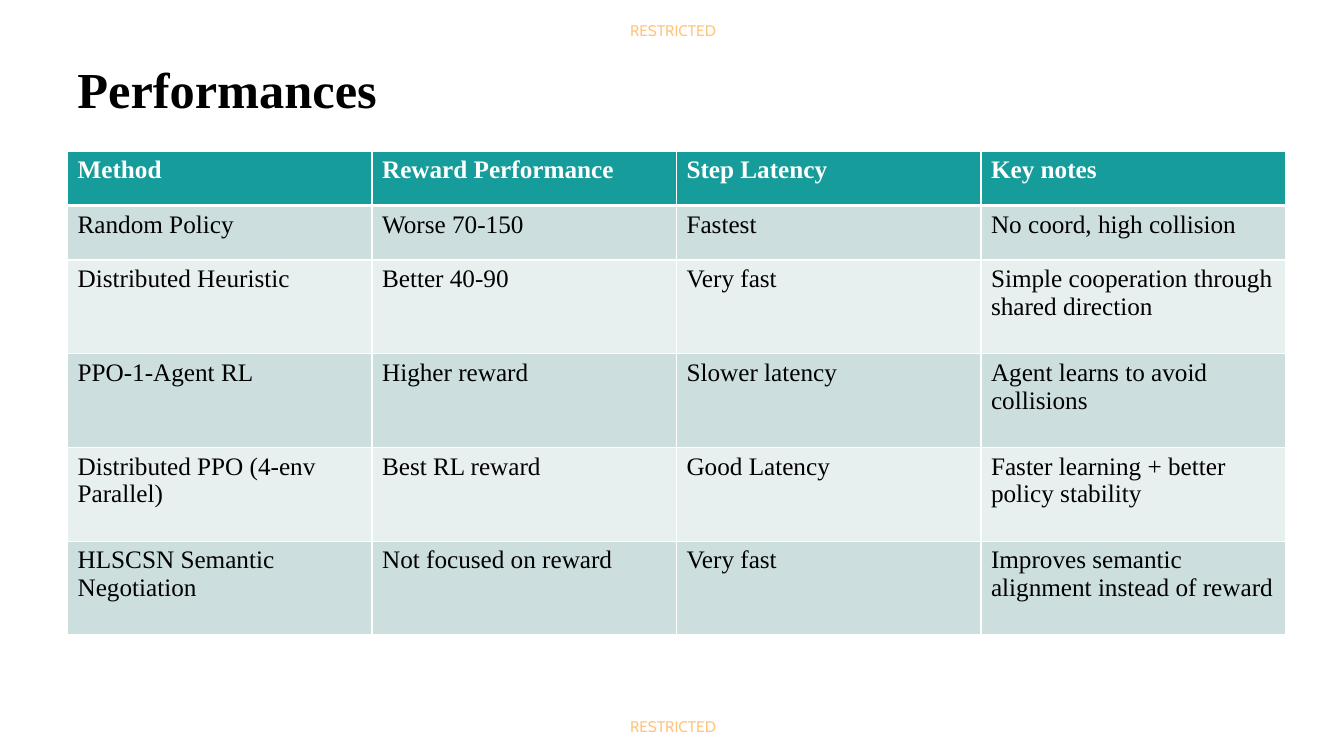
from dataclasses import dataclass

from lxml import etree
from pptx import Presentation
from pptx.dml.color import RGBColor
from pptx.enum.text import MSO_ANCHOR, MSO_AUTO_SIZE
from pptx.oxml.ns import qn
from pptx.util import Inches, Pt

TOP = MSO_ANCHOR.TOP
GROW = MSO_AUTO_SIZE.SHAPE_TO_FIT_TEXT


@dataclass(frozen=True)
class Theme:
    font: str = "Times New Roman"
    marking_font: str = "Cabin"
    ink: str = "000000"
    white: str = "FFFFFF"
    header: str = "169C9A"
    bands: tuple = ("CCDEDE", "E8EFEF")
    marking: str = "FF8C00"
    marking_alpha: int = 50
    title_size: int = 36
    table_size: int = 18
    marking_size: int = 11
    rule: int = 1
    header_rule: int = 3


THEME = Theme()

RESULTS = [
    ("Method", "Reward Performance", "Step Latency", "Key notes"),
    ("Random Policy", "Worse 70-150", "Fastest", "No coord, high collision"),
    ("Distributed Heuristic", "Better 40-90", "Very fast",
     "Simple cooperation through shared direction"),
    ("PPO-1-Agent RL", "Higher reward", "Slower latency",
     "Agent learns to avoid collisions"),
    ("Distributed PPO (4-env Parallel)", "Best RL reward", "Good Latency",
     "Faster learning + better policy stability"),
    ("HLSCSN Semantic Negotiation", "Not focused on reward", "Very fast",
     "Improves semantic alignment instead of reward"),
]
COLUMN_WIDTH = 3.02
SHORT_ROW, TALL_ROW = 0.54, 0.93
SHORT_ROWS = 2


def write(frame, text, font, size, color, bold=False):
    frame.text = text
    run = frame.paragraphs[0].runs[0]
    run.font.name = font
    run.font.size = Pt(size)
    run.font.bold = bold
    run.font.color.rgb = RGBColor.from_string(color)
    return run


def add_marking(slide, top):
    marking = slide.shapes.add_textbox(Inches(6.25), Inches(top), Inches(0.87), Inches(0.18))
    frame = marking.text_frame
    frame.margin_left = frame.margin_right = frame.margin_top = frame.margin_bottom = 0
    frame.word_wrap = False
    frame.auto_size = GROW
    run = write(frame, "RESTRICTED", THEME.marking_font, THEME.marking_size, THEME.marking)
    tint = run.font._element.find(".//" + qn("a:srgbClr"))
    etree.SubElement(tint, qn("a:alpha"), val=str(THEME.marking_alpha * 1000))


def add_title(slide, text):
    title = slide.shapes.add_textbox(Inches(0.67), Inches(0.6), Inches(11.65), Inches(1.24))
    frame = title.text_frame
    frame.word_wrap = True
    frame.vertical_anchor = TOP
    write(frame, text, THEME.font, THEME.title_size, THEME.ink, bold=True)
    frame.paragraphs[0].line_spacing = 0.9


def set_borders(cell, top, bottom):
    properties = cell._tc.get_or_add_tcPr()
    widths = {"a:lnL": THEME.rule, "a:lnR": THEME.rule, "a:lnT": top, "a:lnB": bottom}
    for side, width in widths.items():
        line = etree.SubElement(properties, qn(side), w=str(Pt(width)))
        fill = etree.SubElement(line, qn("a:solidFill"))
        etree.SubElement(fill, qn("a:srgbClr"), val=THEME.white)


def style_cell(cell, text, row):
    is_header = row == 0
    set_borders(
        cell,
        top=THEME.header_rule if row == 1 else THEME.rule,
        bottom=THEME.header_rule if is_header else THEME.rule,
    )
    background = THEME.header if is_header else THEME.bands[(row - 1) % 2]
    cell.fill.solid()
    cell.fill.fore_color.rgb = RGBColor.from_string(background)
    write(cell.text_frame, text, THEME.font, THEME.table_size,
          THEME.white if is_header else THEME.ink, bold=is_header)


def add_results(slide, results):
    heights = [SHORT_ROW if row < SHORT_ROWS else TALL_ROW for row in range(len(results))]
    columns = len(results[0])
    table = slide.shapes.add_table(
        len(results), columns, Inches(0.67), Inches(1.5),
        Inches(COLUMN_WIDTH * columns), Inches(sum(heights)),
    ).table
    for column in table.columns:
        column.width = Inches(COLUMN_WIDTH)
    for row, (height, values) in enumerate(zip(heights, results)):
        table.rows[row].height = Inches(height)
        for column, value in enumerate(values):
            style_cell(table.cell(row, column), value, row)


def main():
    deck = Presentation()
    deck.slide_width = Inches(13.33)
    deck.slide_height = Inches(7.5)
    slide = deck.slides.add_slide(deck.slide_layouts[6])
    for top in (0.21, 7.11):
        add_marking(slide, top)
    add_title(slide, "Performances")
    add_results(slide, RESULTS)
    deck.save("out.pptx")


if __name__ == "__main__":
    main()
